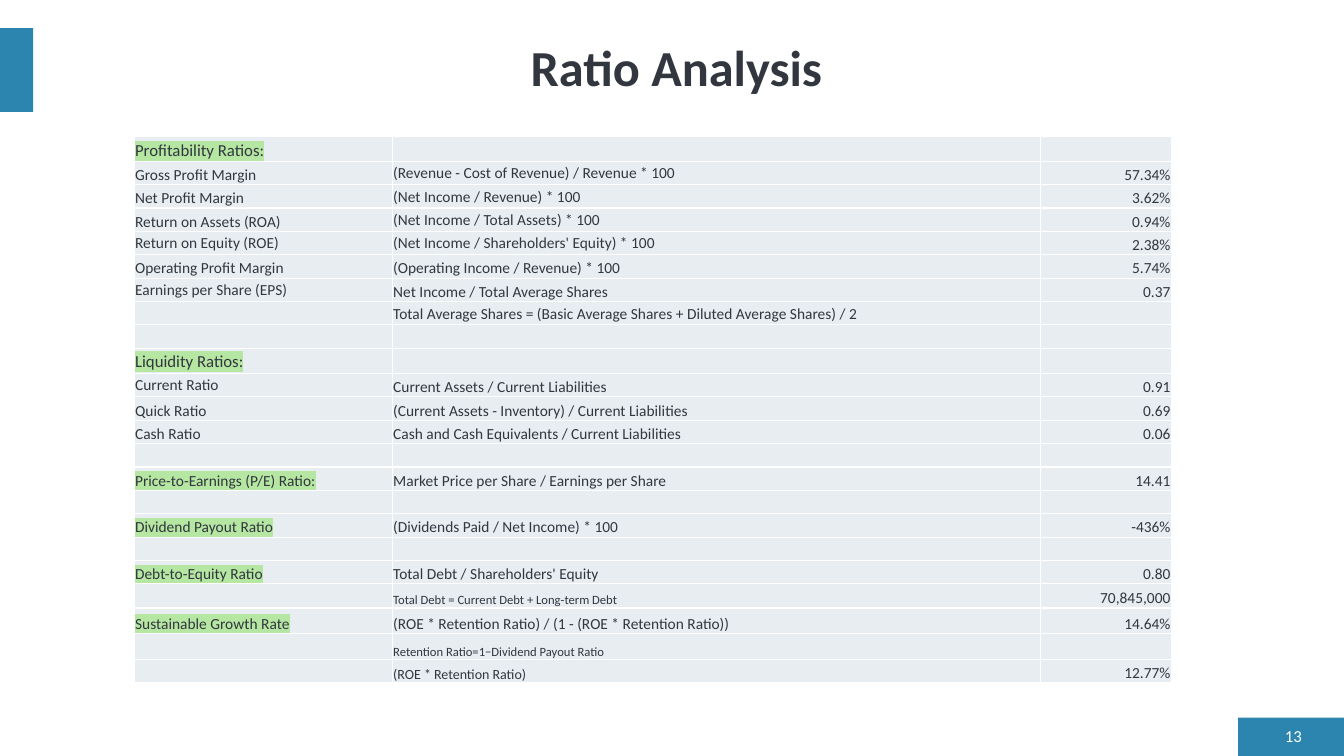
from lxml import etree
from pptx import Presentation
from pptx.dml.color import RGBColor
from pptx.enum.shapes import MSO_SHAPE
from pptx.enum.text import MSO_ANCHOR, PP_ALIGN
from pptx.oxml.ns import qn
from pptx.util import Inches, Pt

LEFT, CENTER, RIGHT = PP_ALIGN.LEFT, PP_ALIGN.CENTER, PP_ALIGN.RIGHT
MIDDLE, BOTTOM = MSO_ANCHOR.MIDDLE, MSO_ANCHOR.BOTTOM
RECTANGLE = MSO_SHAPE.RECTANGLE

FONT = "Calibri"
COLORS = {
    "accent": "2C85AE",
    "text": "32363F",
    "white": "FFFFFF",
    "cell": "E8EDF2",
    "highlight": "B5E6A2",
}

RATIOS = [
    ("Profitability Ratios:", "", ""),
    ("Gross Profit Margin", "(Revenue - Cost of Revenue) / Revenue * 100", "57.34%"),
    ("Net Profit Margin", "(Net Income / Revenue) * 100", "3.62%"),
    ("Return on Assets (ROA)", "(Net Income / Total Assets) * 100", "0.94%"),
    ("Return on Equity (ROE)", "(Net Income / Shareholders' Equity) * 100", "2.38%"),
    ("Operating Profit Margin", "(Operating Income / Revenue) * 100", "5.74%"),
    ("Earnings per Share (EPS)", "Net Income / Total Average Shares", "0.37"),
    ("", "Total Average Shares = (Basic Average Shares + Diluted Average Shares) / 2", ""),
    ("", "", ""),
    ("Liquidity Ratios:", "", ""),
    ("Current Ratio", "Current Assets / Current Liabilities", "0.91"),
    ("Quick Ratio", "(Current Assets - Inventory) / Current Liabilities", "0.69"),
    ("Cash Ratio", "Cash and Cash Equivalents / Current Liabilities", "0.06"),
    ("", "", ""),
    ("Price-to-Earnings (P/E) Ratio:", "Market Price per Share / Earnings per Share", "14.41"),
    ("", "", ""),
    ("Dividend Payout Ratio", "(Dividends Paid / Net Income) * 100", "-436%"),
    ("", "", ""),
    ("Debt-to-Equity Ratio", "Total Debt / Shareholders' Equity", "0.80"),
    ("", "Total Debt = Current Debt + Long-term Debt", "70,845,000"),
    ("Sustainable Growth Rate", "(ROE * Retention Ratio) / (1 - (ROE * Retention Ratio))", "14.64%"),
    ("", "Retention Ratio=1−Dividend Payout Ratio", ""),
    ("", "(ROE * Retention Ratio)", "12.77%"),
]
TABLE_HEIGHT = 5.43
COLUMN_WIDTHS = [2.56, 6.43, 1.3]
COLUMN_ALIGNS = [LEFT, LEFT, RIGHT]
TALL_ROWS = {0: 0.25, 9: 0.25, 19: 0.24, 20: 0.25, 21: 0.26}
HIGHLIGHTED_ROWS = {0, 9, 14, 16, 18, 20}
# Keyed by (row, column)
CELL_SIZES = {(0, 0): 12, (9, 0): 12, (19, 1): 9, (21, 1): 9, (22, 1): 10}
MIDDLE_CELLS = {(4, 0), (6, 0), (9, 0), (10, 0),
                (1, 1), (2, 1), (3, 1), (4, 1), (7, 1)}


def rgb(name):
    return RGBColor.from_string(COLORS[name])


def write(p, text, size, color="text", align=LEFT, bold=False):
    p.alignment = align
    r = p.add_run()
    r.text = text
    font_format = {"name": FONT, "size": Pt(size), "bold": bold}
    for name, value in font_format.items():
        setattr(r.font, name, value)
    r.font.color.rgb = rgb(color)
    return r


def set_margins(target, left, top, right, bottom):
    margins = {"left": left, "top": top, "right": right, "bottom": bottom}
    for side, value in margins.items():
        setattr(target, f"margin_{side}", Inches(value))


def add_block(s, left, top, width, height):
    sp = s.shapes.add_shape(RECTANGLE, Inches(left), Inches(top),
                            Inches(width), Inches(height))
    sp.shadow.inherit = False
    sp.fill.solid()
    sp.fill.fore_color.rgb = rgb("accent")
    sp.line.fill.background()


def add_text(s, left, top, width, height, text, size, **style):
    tf = s.shapes.add_textbox(Inches(left), Inches(top),
                              Inches(width), Inches(height)).text_frame
    tf.word_wrap = True
    tf.vertical_anchor = MIDDLE
    set_margins(tf, 0.1, 0, 0.1, 0)
    p = tf.paragraphs[0]
    p.line_spacing = 0.9
    write(p, text, size, **style)


def highlight(r):
    fill = r.font._element.find(qn("a:solidFill"))
    mark = etree.Element(qn("a:highlight"))
    etree.SubElement(mark, qn("a:srgbClr"), val=COLORS["highlight"])
    fill.addnext(mark)


def set_borders(cell):
    tc_pr = cell._tc.get_or_add_tcPr()
    for side in ("lnL", "lnR", "lnT", "lnB"):
        line = etree.SubElement(tc_pr, qn(f"a:{side}"), w=str(Pt(1)))
        fill = etree.SubElement(line, qn("a:solidFill"))
        etree.SubElement(fill, qn("a:srgbClr"), val=COLORS["white"])


def fill_cell(cell, row, column, text):
    set_borders(cell)
    cell.fill.solid()
    cell.fill.fore_color.rgb = rgb("cell")
    set_margins(cell, 0.01, 0.01, 0.01, 0)
    cell.vertical_anchor = MIDDLE if (row, column) in MIDDLE_CELLS else BOTTOM
    p = cell.text_frame.paragraphs[0]
    if not text:
        # A small end mark keeps an empty row from growing
        etree.SubElement(p._p, qn("a:endParaRPr"), sz="1100")
        return
    r = write(p, text, CELL_SIZES.get((row, column), 11),
              align=COLUMN_ALIGNS[column])
    if column == 0 and row in HIGHLIGHTED_ROWS:
        highlight(r)


def add_ratio_table(s, left, top):
    table = s.shapes.add_table(len(RATIOS), len(COLUMN_WIDTHS),
                               Inches(left), Inches(top),
                               Inches(sum(COLUMN_WIDTHS)),
                               Inches(TABLE_HEIGHT)).table
    table.first_row = table.horz_banding = False
    for column, width in enumerate(COLUMN_WIDTHS):
        table.columns[column].width = Inches(width)
    row_height = ((TABLE_HEIGHT - sum(TALL_ROWS.values()))
                  / (len(RATIOS) - len(TALL_ROWS)))
    for row, texts in enumerate(RATIOS):
        table.rows[row].height = Inches(TALL_ROWS.get(row, row_height))
        for column, text in enumerate(texts):
            fill_cell(table.cell(row, column), row, column, text)


def main():
    prs = Presentation()
    prs.slide_width, prs.slide_height = Inches(13.33), Inches(7.5)
    s = prs.slides.add_slide(prs.slide_layouts[6])
    add_block(s, 12.28, 7.12, 1.05, 0.38)
    add_block(s, 0, 0.28, 0.33, 0.83)
    add_text(s, 0.41, 0.28, 12.6, 0.83, "Ratio Analysis", 36,
             align=CENTER, bold=True)
    add_text(s, 12.6, 7.2, 0.41, 0.23, "13", 12, color="white", align=RIGHT)
    add_ratio_table(s, 1.33, 1.35)
    prs.save("out.pptx")


if __name__ == "__main__":
    main()
